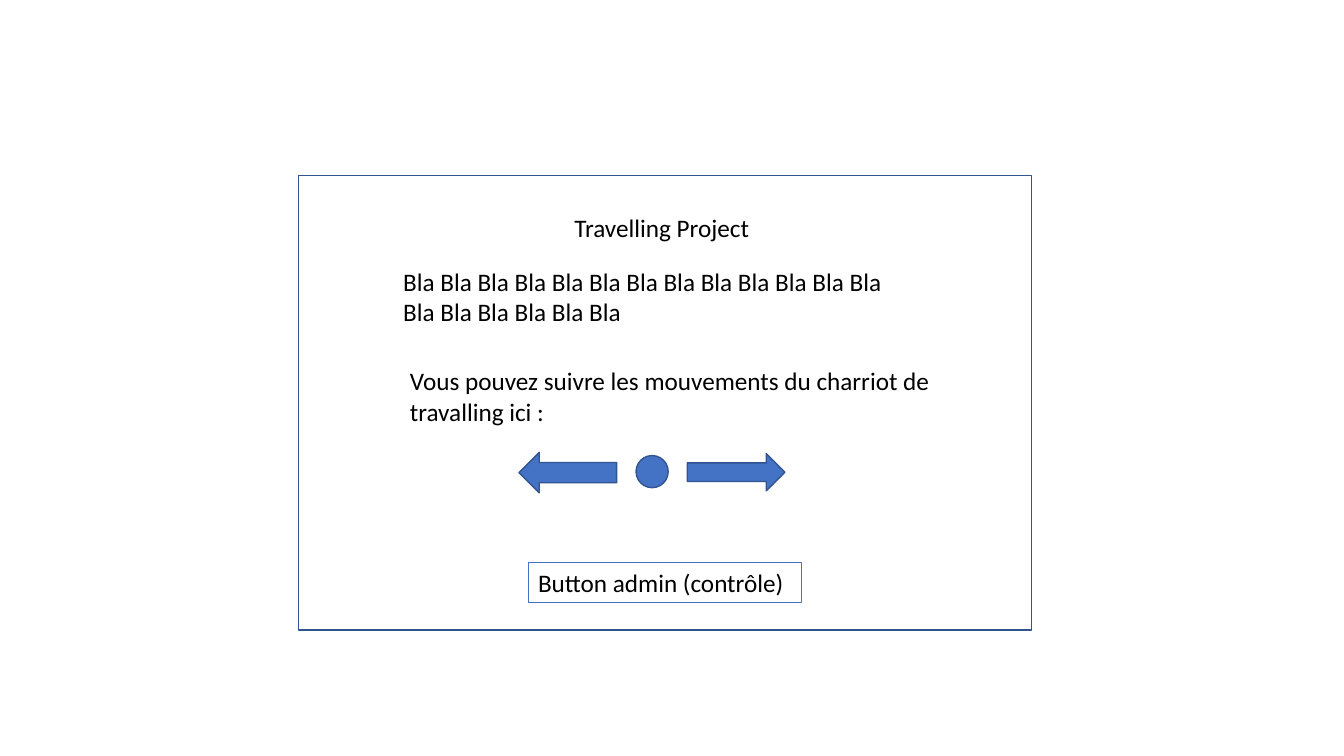
import pptx
import pptx.util
import pptx.dml.color
import pptx.enum.shapes
import pptx.enum.text
from dataclasses import dataclass

Cm, Pt = pptx.util.Cm, pptx.util.Pt
RGB = pptx.dml.color.RGBColor.from_string
MSO = pptx.enum.shapes.MSO_SHAPE


@dataclass(frozen=True)
class Theme:
    font: str = "Calibri"
    size: float = 18
    ink: str = "000000"
    paper: str = "FFFFFF"
    accent: str = "4472C4"
    edge: str = "325491"
    edge_width: float = 1
    button_width: float = 0.75


theme = Theme()

TITLE = ("Travelling Project", (14.22, 5.23, 5.08, 1.02))
PARAGRAPHS = [
    (" ".join(["Bla"] * 19), (9.91, 6.58, 13.16, 1.8)),
    ("Vous pouvez suivre les mouvements du charriot de travalling ici :",
     (10.08, 9.09, 14.43, 1.8)),
]
BUTTON = ("Button admin (contrôle)", (13.31, 14.17, 6.88, 1.02))
WINDOW = (7.52, 4.42, 18.47, 11.46)
TROLLEY = [
    (MSO.LEFT_ARROW, (13.08, 11.4, 2.46, 1.02)),
    (MSO.OVAL, (16.03, 11.48, 0.81, 0.81)),
    (MSO.RIGHT_ARROW, (17.32, 11.43, 2.46, 0.94)),
]


def write(sp, text):
    tf = sp.text_frame
    tf.word_wrap = True
    tf.auto_size = pptx.enum.text.MSO_AUTO_SIZE.NONE
    tf.vertical_anchor = pptx.enum.text.MSO_ANCHOR.TOP
    p = tf.paragraphs[0]
    p.alignment = pptx.enum.text.PP_ALIGN.LEFT
    r = p.add_run()
    r.text = text
    r.font.name = theme.font
    r.font.size = Pt(theme.size)
    r.font.color.rgb = RGB(theme.ink)


def add_shape(s, kind, box, fill, line, width):
    sp = s.shapes.add_shape(kind, *map(Cm, box))
    sp.shadow.inherit = False
    if fill:
        sp.fill.solid()
        sp.fill.fore_color.rgb = RGB(fill)
    else:
        sp.fill.background()
    sp.line.color.rgb = RGB(line)
    sp.line.width = Pt(width)
    return sp


prs = pptx.Presentation()
prs.slide_width, prs.slide_height = Cm(33.87), Cm(19.05)
s = prs.slides.add_slide(prs.slide_layouts[5])

title = s.shapes.title
text, box = TITLE
title.left, title.top, title.width, title.height = map(Cm, box)
write(title, text)

window = add_shape(s, MSO.RECTANGLE, WINDOW, theme.paper, theme.edge, theme.edge_width)
title._element.addprevious(window._element)

for text, box in PARAGRAPHS:
    write(s.shapes.add_textbox(*map(Cm, box)), text)

for kind, box in TROLLEY:
    add_shape(s, kind, box, theme.accent, theme.edge, theme.edge_width)

text, box = BUTTON
write(add_shape(s, MSO.RECTANGLE, box, None, theme.accent, theme.button_width), text)

prs.save("out.pptx")
